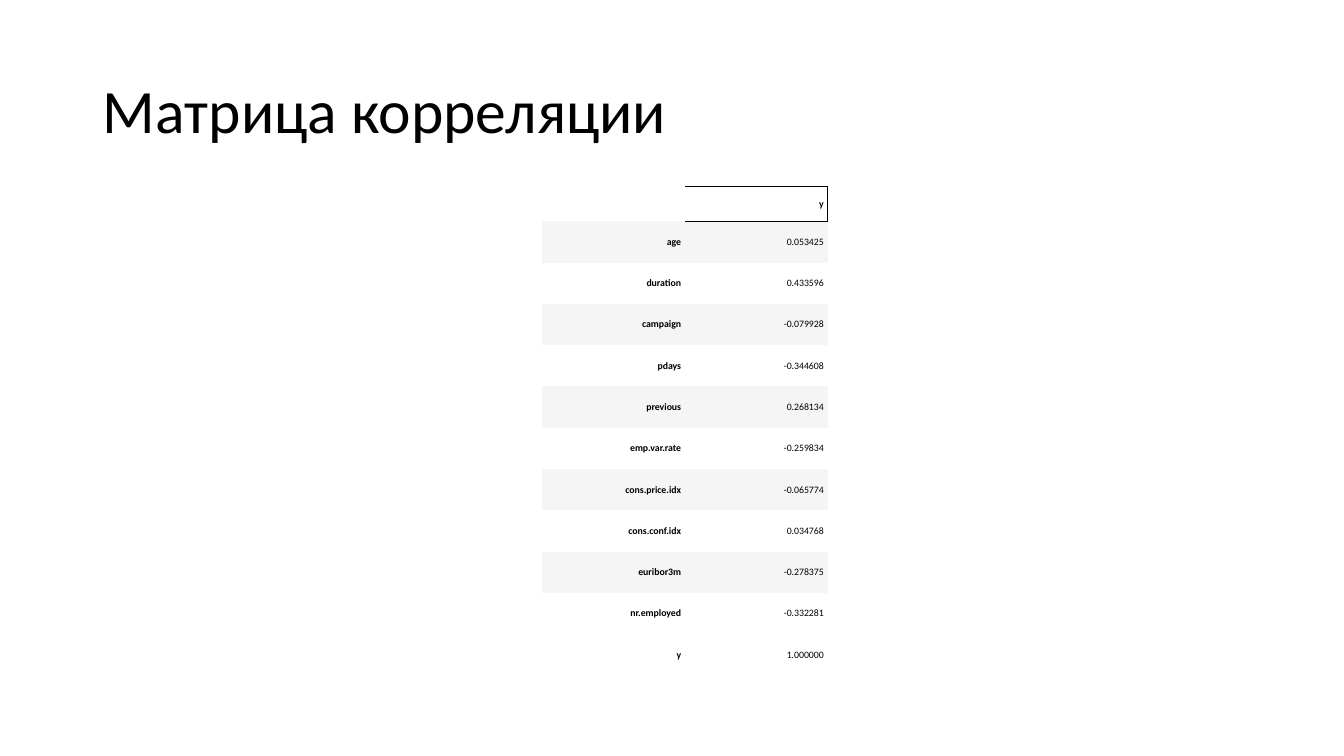
import pptx
import pptx.util
import pptx.dml.color
import pptx.enum.text
import lxml.etree
from pptx.util import Inches, Pt

BLACK = pptx.dml.color.RGBColor(0x00, 0x00, 0x00)
WHITE = pptx.dml.color.RGBColor(0xFF, 0xFF, 0xFF)
GREY = pptx.dml.color.RGBColor(0xF5, 0xF5, 0xF5)
FONT = "Calibri"
NO_STYLE = "{2D5ABB26-0587-4C30-8999-92F81FD0307C}"

TITLE = "Матрица корреляции"
HEADER = ("", "y")
CORRELATIONS = [
    ("age", "0.053425"),
    ("duration", "0.433596"),
    ("campaign", "-0.079928"),
    ("pdays", "-0.344608"),
    ("previous", "0.268134"),
    ("emp.var.rate", "-0.259834"),
    ("cons.price.idx", "-0.065774"),
    ("cons.conf.idx", "0.034768"),
    ("euribor3m", "-0.278375"),
    ("nr.employed", "-0.332281"),
    ("y", "1.000000"),
]
ROWS = [HEADER] + CORRELATIONS
LEFT, TOP, COL_W, HEADER_H, ROW_H = 5.38, 1.85, 1.415, 0.28, 0.41
MIDDLE = pptx.enum.text.MSO_ANCHOR.MIDDLE
CELL_FORMAT = {
    "margin_left": Inches(0.04),
    "margin_right": Inches(0.04),
    "margin_top": Inches(0.02),
    "margin_bottom": Inches(0.02),
    "vertical_anchor": MIDDLE,
}


def set_all(target, values):
    for name, value in values.items():
        setattr(target, name, value)


def add_text(p, text, size, bold):
    r = p.add_run()
    r.text = text
    set_all(r.font, {"name": FONT, "size": Pt(size), "bold": bold})
    r.font.color.rgb = BLACK


def add_borders(cell, sides):
    tc_pr = cell._tc.get_or_add_tcPr()
    for side in sides:
        ln = lxml.etree.SubElement(tc_pr, pptx.oxml.ns.qn(f"a:ln{side}"), w=str(Pt(0.75)))
        fill = lxml.etree.SubElement(ln, pptx.oxml.ns.qn("a:solidFill"))
        lxml.etree.SubElement(fill, pptx.oxml.ns.qn("a:srgbClr"), val=str(BLACK))


def add_title(s):
    title = s.shapes.title
    set_all(title, {"left": Inches(0.92), "top": Inches(0.4),
                    "width": Inches(11.5), "height": Inches(1.45)})
    tf = title.text_frame
    set_all(tf, {"vertical_anchor": MIDDLE, "word_wrap": True})
    p = tf.paragraphs[0]
    set_all(p, {"alignment": pptx.enum.text.PP_ALIGN.LEFT, "line_spacing": 0.9})
    add_text(p, TITLE, 44, False)


def add_correlations(s):
    height = HEADER_H + ROW_H * len(CORRELATIONS)
    frame = s.shapes.add_table(len(ROWS), 2, Inches(LEFT), Inches(TOP),
                               Inches(2 * COL_W), Inches(height))
    table = frame.table
    set_all(table, {"first_row": False, "horz_banding": False})
    table._tbl.tblPr.find(pptx.oxml.ns.qn("a:tableStyleId")).text = NO_STYLE
    for i, row in enumerate(ROWS):
        table.rows[i].height = Inches(ROW_H if i else HEADER_H)
        for j, text in enumerate(row):
            cell = table.cell(i, j)
            set_all(cell, CELL_FORMAT)
            if (i, j) == (0, 1):
                add_borders(cell, "RTB")
            else:
                cell.fill.solid()
                cell.fill.fore_color.rgb = GREY if i % 2 and i < len(ROWS) - 1 else WHITE
            if text:
                p = cell.text_frame.paragraphs[0]
                p.alignment = pptx.enum.text.PP_ALIGN.RIGHT
                add_text(p, text, 7, i == 0 or j == 0)


def main():
    prs = pptx.Presentation()
    set_all(prs, {"slide_width": Inches(13.33), "slide_height": Inches(7.5)})
    s = prs.slides.add_slide(prs.slide_layouts[5])
    add_title(s)
    add_correlations(s)
    prs.save("out.pptx")


if __name__ == "__main__":
    main()
